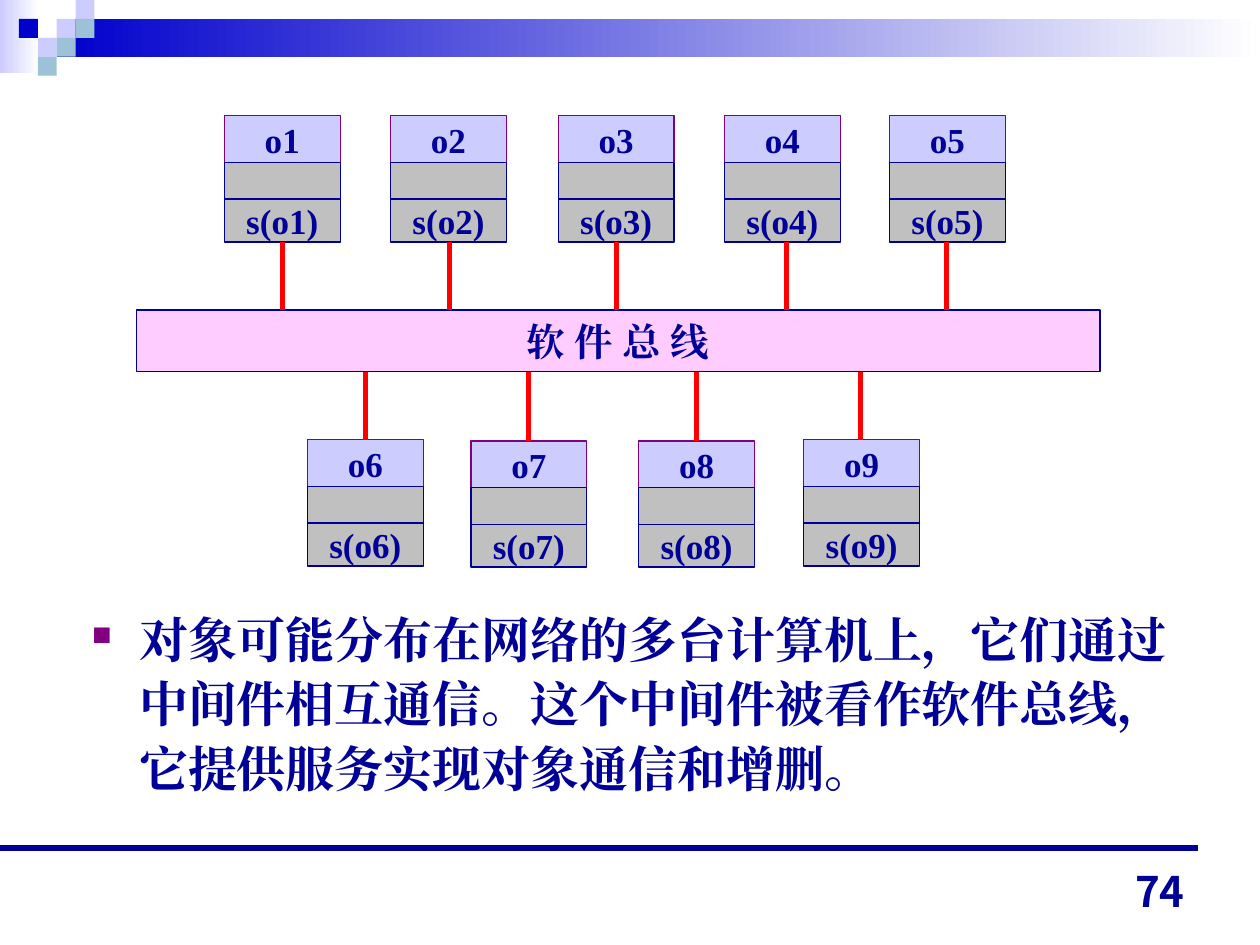
import pptx
import pptx.util
import pptx.dml.color
import pptx.enum.shapes
import pptx.enum.text
import pptx.oxml
import pptx.oxml.ns
from lxml import etree

Pt = pptx.util.Pt
RGB = pptx.dml.color.RGBColor
Align = pptx.enum.text.PP_ALIGN
Anchor = pptx.enum.text.MSO_ANCHOR
qn = pptx.oxml.ns.qn

NAVY = RGB(0x00, 0x00, 0x99)
BLUE = RGB(0x00, 0x00, 0xCC)
LILAC = RGB(0xCC, 0xCC, 0xFF)
TEAL = RGB(0x9D, 0xC2, 0xD7)
PLUM = RGB(0x80, 0x00, 0x80)
GREY = RGB(0xC0, 0xC0, 0xC0)
PINK = RGB(0xFF, 0xCC, 0xFF)
RED = RGB(0xFF, 0x00, 0x00)
WHITE = RGB(0xFF, 0xFF, 0xFF)
SERIF = "Times New Roman"
SANS = "Noto Sans CJK JP"

BANDS = [((0, 0, 22.3, 41.8), LILAC), ((32.4, 10.8, 687.6, 21.6), BLUE)]
TILE = 10.8
TILES = [(3, 1, LILAC), (4, 0, LILAC), (4, 1, TEAL), (2, 2, LILAC),
         (1, 1, BLUE), (3, 2, TEAL), (2, 3, TEAL)]
BUS = (77.8, 177.1, 550.8, 35.3)
BUS_TEXT = "软 件 总 线"
NODES = [("o1", 128.2, 66.2, 161.3), ("o2", 223.2, 66.2, 257),
         ("o3", 319, 66.2, 352.1), ("o4", 414, 66.2, 449.3),
         ("o5", 508.3, 66.2, 540.9), ("o6", 175.7, 251.3, 208.8),
         ("o7", 269.1, 252, 301.9), ("o8", 365, 252, 398.2),
         ("o9", 459.3, 251.3, 491.8)]
WIDE = 66.2
ROWS = [("{}", 26.6, LILAC, PLUM), ("", 21, GREY, NAVY), ("s({})", 24.5, GREY, NAVY)]
BODY = "对象可能分布在网络的多台计算机上，它们通过中间件相互通信。这个中间件被看作软件总线， 它提供服务实现对象通信和增删。"
PAGE = "74"

deck = pptx.Presentation()
deck.slide_width, deck.slide_height = Pt(720), Pt(540)
slide = deck.slides.add_slide(deck.slide_layouts[6])
shapes = slide.shapes


def write(frame, text, size, face, align, anchor):
    frame.vertical_anchor = anchor
    para = frame.paragraphs[0]
    para.text = text
    para.alignment = align
    for run in para.runs:
        font = run.font
        font.size, font.bold, font.name = Pt(size), True, face
        font.color.rgb = NAVY
        east = etree.SubElement(run._r.get_or_add_rPr(), qn("a:ea"))
        east.set("typeface", face)
    return para


def rect(box, fill=None, edge=None):
    kind = pptx.enum.shapes.MSO_SHAPE.RECTANGLE
    shape = shapes.add_shape(kind, *map(Pt, box))
    shape.shadow.inherit = False
    if fill is not None:
        shape.fill.solid()
        shape.fill.fore_color.rgb = fill
    if edge is None:
        shape.line.fill.background()
    else:
        shape.line.color.rgb = edge
        shape.line.width = Pt(0.75)
    return shape


def label(shape, text, size):
    shape.text_frame.word_wrap = False
    write(shape.text_frame, text, size, SERIF, Align.CENTER, Anchor.MIDDLE)


def wire(start, end, color, width):
    kind = pptx.enum.shapes.MSO_CONNECTOR.STRAIGHT
    line = shapes.add_connector(kind, *map(Pt, start + end))
    line.line.color.rgb = color
    line.line.width = Pt(width)
    etree.SubElement(line._element.spPr, qn("a:effectLst"))


def note(box, *args):
    frame = shapes.add_textbox(*map(Pt, box)).text_frame
    frame.word_wrap = True
    return write(frame, *args)


def bullet(para):
    props = para._p.get_or_add_pPr()
    props.set("marL", str(Pt(27)))
    props.set("indent", str(-Pt(27)))
    color = etree.SubElement(props, qn("a:buClr"))
    etree.SubElement(color, qn("a:srgbClr")).set("val", str(PLUM))
    etree.SubElement(props, qn("a:buSzPct")).set("val", "55000")
    etree.SubElement(props, qn("a:buChar")).set("char", "■")


for box, color in BANDS:
    fill = rect(box).fill
    fill.gradient()
    fill.gradient_angle = 180
    for stop, tint in zip(fill.gradient_stops, (WHITE, color)):
        stop.color.rgb = tint
for col, row, color in TILES:
    rect((col * TILE, row * TILE, TILE, TILE), color)
wire((0, 484.6), (684.7, 484.6), NAVY, 3.25)

para = note((45.4, 341.3, 643, 124.6), BODY, 28, SERIF, Align.LEFT, Anchor.TOP)
para.line_spacing = 1.1
bullet(para)

label(rect(BUS, PINK, NAVY), BUS_TEXT, 22)
for name, left, top, mid in NODES:
    y = top
    for form, high, fill, edge in ROWS:
        cell = rect((left, y, WIDE, high), fill, edge)
        if form:
            label(cell, form.format(name), 20)
        y += high
    if top < BUS[1]:
        wire((mid, y), (mid, BUS[1]), RED, 3)
    else:
        wire((mid, BUS[1] + BUS[3]), (mid, top), RED, 3)

note((516.2, 491, 167.8, 36), PAGE, 24, SANS, Align.RIGHT, Anchor.BOTTOM)

deck.save("out.pptx")
